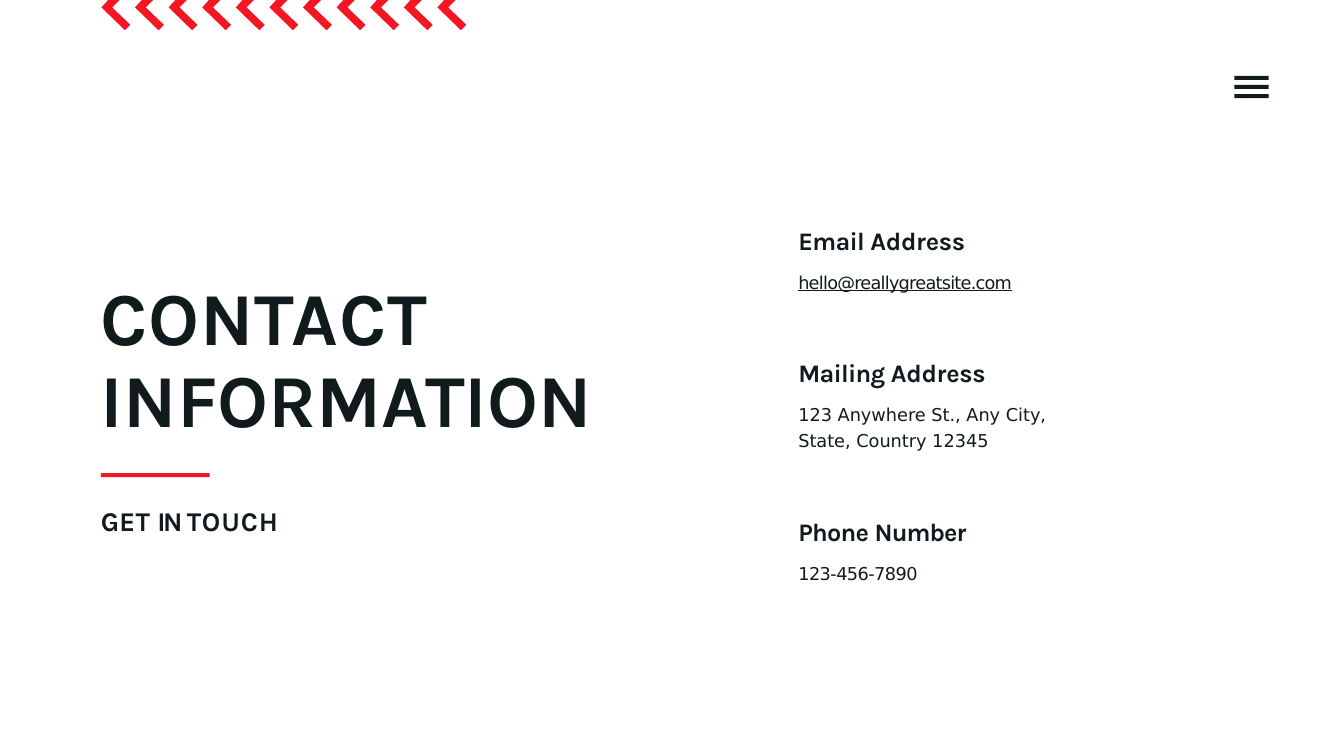
from pptx import Presentation
from pptx.dml.color import RGBColor
from pptx.enum.shapes import MSO_SHAPE
from pptx.enum.text import MSO_AUTO_SIZE
from pptx.util import Inches, Pt

RECT = MSO_SHAPE.RECTANGLE
GROW = MSO_AUTO_SIZE.SHAPE_TO_FIT_TEXT
INK, RED = "111B1D", "F41723"

# Text formats
TITLE = {"name": "Karla", "size": Pt(80), "bold": True}
SUBTITLE = {"name": "Karla", "size": Pt(29), "bold": True}
HEADING = {"name": "Karla", "size": Pt(27), "bold": True}
BODY = {"name": "DejaVu Sans", "size": Pt(19), "bold": False}
LINK = {**BODY, "underline": True}


def color(value):
    return RGBColor.from_string(value)


class Deck:
    """Holds the style and the current slide."""

    def __init__(self, prs):
        self.slide = prs.slides.add_slide(prs.slide_layouts[6])
        self.shapes = self.slide.shapes

    def paint(self, sp, fill):
        sp.shadow.inherit = False
        sp.fill.solid()
        sp.fill.fore_color.rgb = color(fill)
        sp.line.fill.background()

    def bar(self, x, y, w, h, fill):
        sp = self.shapes.add_shape(RECT, Inches(x), Inches(y), Inches(w), Inches(h))
        self.paint(sp, fill)

    def outline(self, x, y, points, fill):
        points = [(Inches(x + dx), Inches(y + dy)) for dx, dy in points]
        builder = self.shapes.build_freeform(*points[0])
        builder.add_line_segments(points[1:], close=True)
        self.paint(builder.convert_to_shape(), fill)

    def text(self, x, y, w, h, paragraphs, top=0.01):
        """Each paragraph is (runs, font format, paragraph format)."""
        sp = self.shapes.add_textbox(Inches(x), Inches(y), Inches(w), Inches(h))
        tf = sp.text_frame
        frame = {"word_wrap": True, "auto_size": GROW, "margin_left": Inches(0.01),
                 "margin_top": Inches(top), "margin_right": 0, "margin_bottom": 0}
        for key, value in frame.items():
            setattr(tf, key, value)
        for i, (runs, font, layout) in enumerate(paragraphs):
            p = tf.add_paragraph() if i else tf.paragraphs[0]
            for key, value in layout.items():
                setattr(p, key, value)
            for words, spacing in runs:
                r = p.add_run()
                r.text = words
                for key, value in font.items():
                    setattr(r.font, key, value)
                r.font.color.rgb = color(INK)
                r._r.get_or_add_rPr().set("spc", str(round(spacing * 100)))


def main():
    prs = Presentation()
    prs.slide_width, prs.slide_height = Inches(20), Inches(11.25)
    deck = Deck(prs)

    # Title, accent rule and subtitle
    deck.text(1.49, 4.01, 7.95, 2.58,
              [([("CONTACT ", 0.8), ("INFORMATION", 0)], TITLE,
                {"line_spacing": Pt(87.8)})], top=0.14)
    deck.bar(1.5, 7.04, 1.62, 0.06, RED)
    deck.text(1.49, 7.5, 3.04, 0.51,
              [([("GET ", 0.3), ("IN ", -2.8), ("TOUCH", 0.9)], SUBTITLE, {})])

    # Contact details
    contacts = [
        (3.35, 3.23, 1.03, [("Email ", -0.8), ("Address", -0.3)],
         [("hello@reallygreatsite.com", -0.8)], LINK, {"space_before": Pt(17.1)}),
        (5.31, 4.3, 1.42, [("Mailing ", -0.8), ("Address", -0.3)],
         [("123 Anywhere St., Any City, State, Country 12345", 0)], BODY,
         {"space_before": Pt(12.1), "line_spacing": 1.22}),
        (7.67, 2.69, 1.03, [("Phone ", -0.8), ("Number", -1)],
         [("123-456-7890", -0.6)], BODY, {"space_before": Pt(17.1)}),
    ]
    for y, w, h, heading, detail, font, layout in contacts:
        deck.text(11.87, y, w, h, [(heading, HEADING, {}), (detail, font, layout)])

    # Row of chevrons along the top edge
    chevron = [(0.43, 0.37), (0.35, 0.45), (0, 0.11), (0.1, 0), (0.27, 0), (0.16, 0.11)]
    for i in range(11):
        deck.outline(1.51 + 0.5 * i, 0, chevron, RED)

    # Menu icon
    for i in range(3):
        deck.bar(18.37, 1.13 + 0.135 * i, 0.51, 0.06, INK)

    prs.save("out.pptx")


if __name__ == "__main__":
    main()
